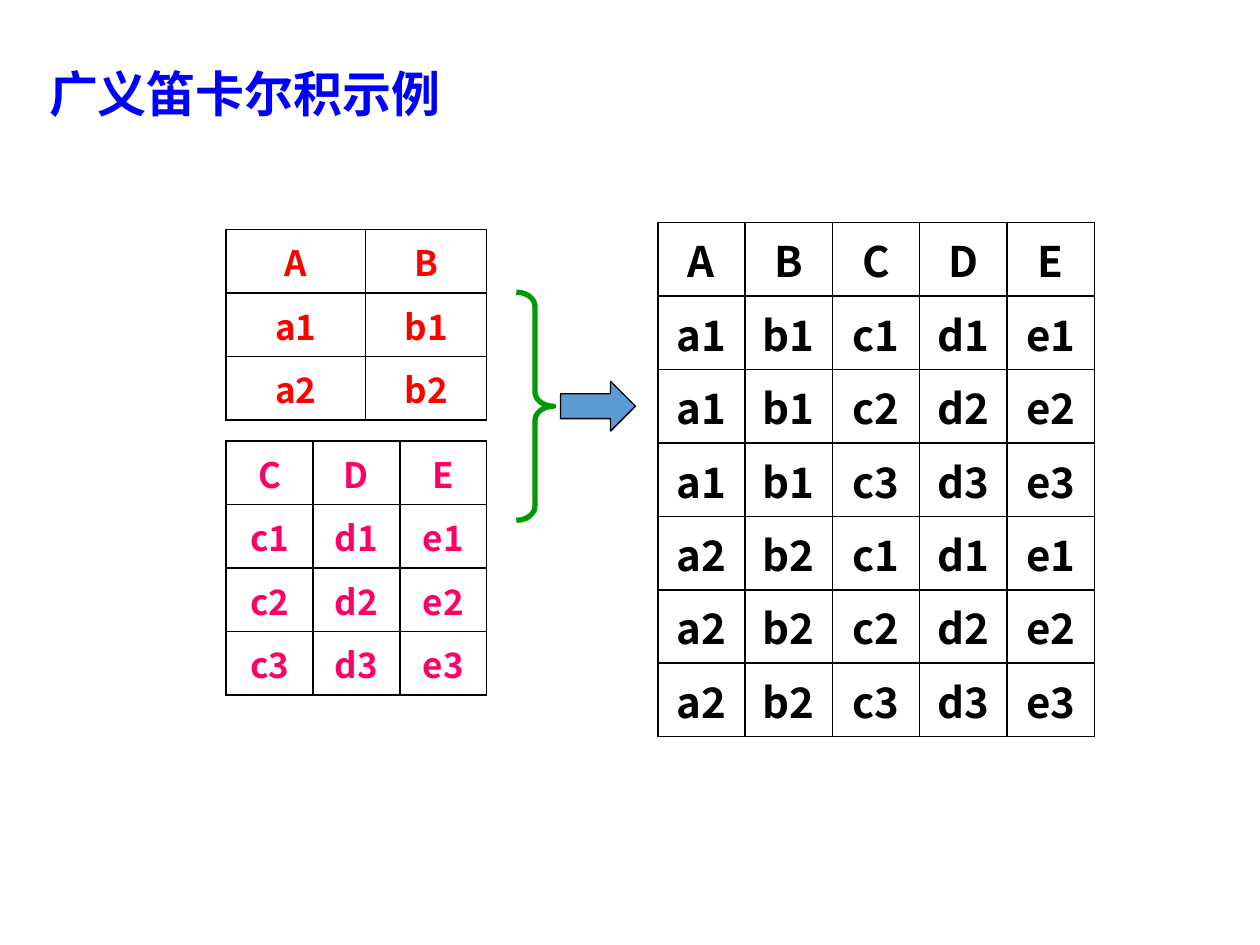
from dataclasses import dataclass
from itertools import product

from lxml import etree
from pptx import Presentation
from pptx.dml.color import RGBColor
from pptx.enum.shapes import MSO_SHAPE
from pptx.enum.text import MSO_ANCHOR, PP_ALIGN
from pptx.oxml.ns import qn
from pptx.util import Cm, Pt

RIGHT_BRACE = MSO_SHAPE.RIGHT_BRACE
RIGHT_ARROW = MSO_SHAPE.RIGHT_ARROW
MIDDLE = MSO_ANCHOR.MIDDLE
CENTER = PP_ALIGN.CENTER


@dataclass(frozen=True)
class Theme:
    title_font: str = "Noto Sans CJK SC"
    table_font: str = "Noto Sans CJK KR"
    title_color: str = "0000FF"
    first_color: str = "FF0000"
    second_color: str = "FF0066"
    line_color: str = "000000"
    brace_color: str = "009900"
    arrow_color: str = "5B9BD5"
    title_size: int = 28
    operand_size: int = 20
    result_size: int = 24


class SlideBuilder:
    def __init__(self, slide, theme):
        self.slide = slide
        self.theme = theme

    def format_run(self, span, font, size, color):
        span.font.size = Pt(size)
        span.font.bold = True
        span.font.color.rgb = RGBColor.from_string(color)
        span.font.name = font
        properties = span.font._element
        etree.SubElement(properties, qn("a:ea"), typeface=font)

    def title(self, text, left, top, width, height):
        box = self.slide.shapes.add_textbox(Cm(left), Cm(top), Cm(width), Cm(height))
        frame = box.text_frame
        frame.word_wrap = True
        frame.vertical_anchor = MIDDLE
        frame.text = text
        para = frame.paragraphs[0]
        para.line_spacing = 0.9
        self.format_run(para.runs[0], self.theme.title_font,
                        self.theme.title_size, self.theme.title_color)

    def cell_borders(self, cell):
        properties = cell._tc.get_or_add_tcPr()
        for index, side in enumerate(("lnL", "lnR", "lnT", "lnB")):
            line = etree.Element(qn(f"a:{side}"), w=str(Pt(1)))
            fill = etree.SubElement(line, qn("a:solidFill"))
            etree.SubElement(fill, qn("a:srgbClr"), val=self.theme.line_color)
            properties.insert(index, line)

    def relation(self, rows, left, top, widths, row_height, size, color):
        frame = self.slide.shapes.add_table(
            len(rows), len(widths), Cm(left), Cm(top),
            Cm(sum(widths)), Cm(row_height * len(rows)))
        table = frame.table
        table.first_row = table.horz_banding = False
        for column, width in zip(table.columns, widths):
            column.width = Cm(width)
        for row, values in zip(table.rows, rows):
            for cell, value in zip(row.cells, values):
                cell.fill.background()
                self.cell_borders(cell)
                cell.margin_left = cell.margin_right = Cm(0.18)
                cell.margin_top = cell.margin_bottom = Cm(0.13)
                cell.text_frame.text = value
                para = cell.text_frame.paragraphs[0]
                para.alignment = CENTER
                self.format_run(para.runs[0], self.theme.table_font, size, color)

    def shape(self, kind, left, top, width, height, line, weight,
              fill=None, adjustments=(0.5, 0.5)):
        shape = self.slide.shapes.add_shape(
            kind, Cm(left), Cm(top), Cm(width), Cm(height))
        shape.shadow.inherit = False
        for index, value in enumerate(adjustments):
            shape.adjustments[index] = value
        if fill:
            shape.fill.solid()
            shape.fill.fore_color.rgb = RGBColor.from_string(fill)
        else:
            shape.fill.background()
        shape.line.color.rgb = RGBColor.from_string(line)
        shape.line.width = Pt(weight)


def main():
    deck = Presentation()
    deck.slide_width, deck.slide_height = Cm(25.4), Cm(19.05)
    theme = Theme()
    page = SlideBuilder(deck.slides.add_slide(deck.slide_layouts[6]), theme)

    # Title
    page.title("广义笛卡尔积示例", 0.74, 0.57, 23.93, 2.74)

    # The two operands
    first = [("A", "B"), ("a1", "b1"), ("a2", "b2")]
    second = [("C", "D", "E")] + [(f"c{n}", f"d{n}", f"e{n}") for n in (1, 2, 3)]
    page.relation(first, 4.56, 4.63, [2.81, 2.44], 1.28,
                  theme.operand_size, theme.first_color)
    page.relation(second, 4.56, 8.89, [1.75] * 3, 1.28,
                  theme.operand_size, theme.second_color)

    # Their Cartesian product
    header = first[0] + second[0]
    pairs = [left + right for left, right in product(first[1:], second[1:])]
    page.relation([header] + pairs, 13.26, 4.49, [1.76] * 5, 1.48,
                  theme.result_size, theme.line_color)

    # Brace and arrow from operands to product
    page.shape(RIGHT_BRACE, 10.41, 5.89, 0.75, 4.6, theme.brace_color, 3,
               adjustments=(0.38, 0.5))
    page.shape(RIGHT_ARROW, 11.3, 7.69, 1.51, 1, theme.line_color, 0.75,
               fill=theme.arrow_color)

    deck.save("out.pptx")


if __name__ == "__main__":
    main()
